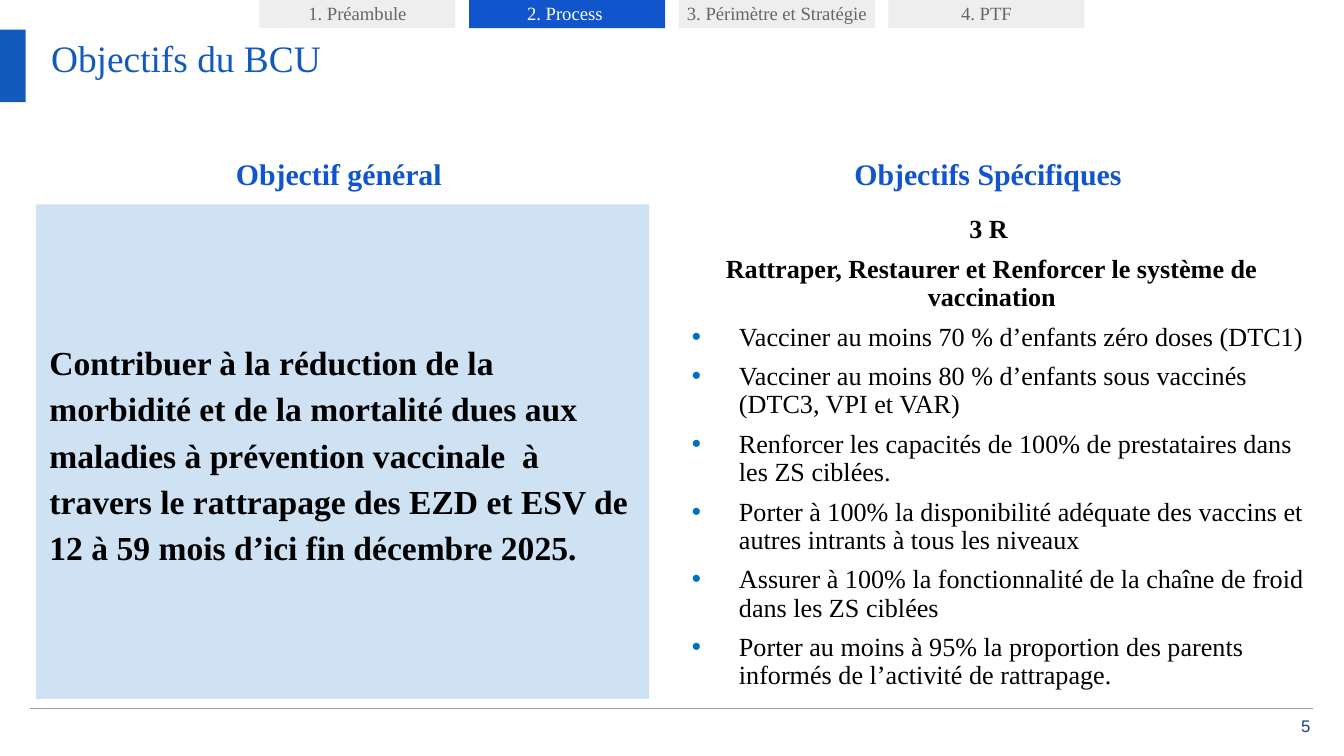
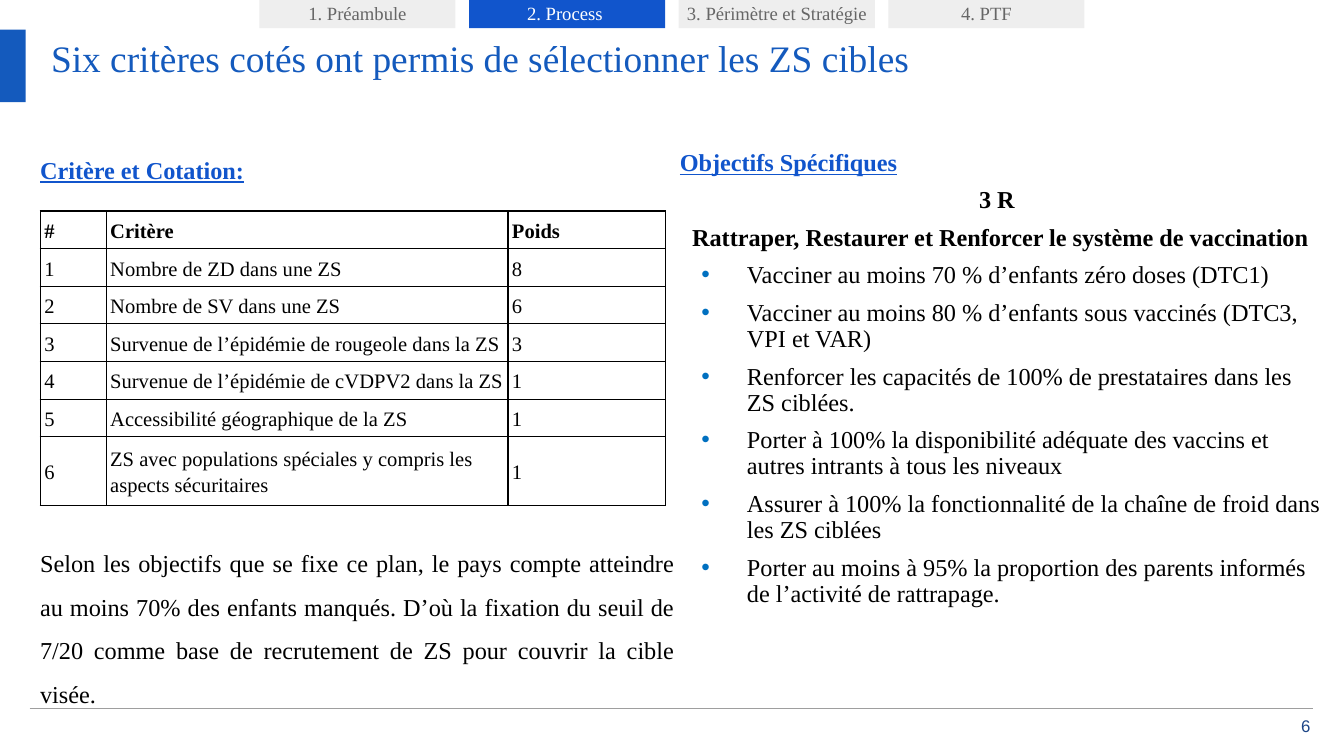
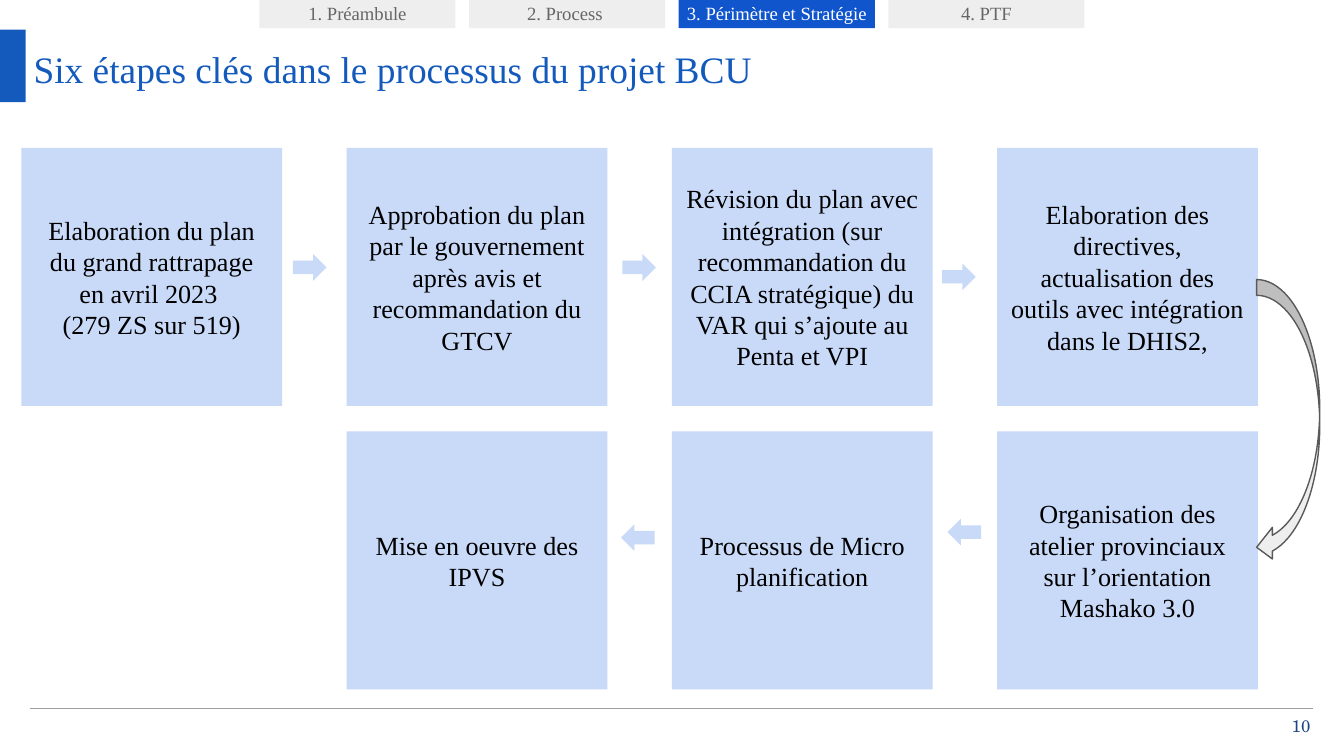
from lxml.etree import SubElement
from pptx import Presentation
from pptx.dml.color import RGBColor
from pptx.enum.shapes import MSO_CONNECTOR, MSO_SHAPE as SHAPE
from pptx.enum.text import MSO_ANCHOR as ANCHOR, MSO_AUTO_SIZE, PP_ALIGN as ALIGN
from pptx.oxml.ns import qn
from pptx.util import Inches, Pt

SERIF = "Times New Roman"
BLUE = RGBColor(0x11, 0x55, 0xCC)
TITLE_BLUE = RGBColor(0x14, 0x5A, 0xBD)
NUMBER_BLUE = RGBColor(0x1C, 0x45, 0x87)
PALE_BLUE = RGBColor(0xCF, 0xE2, 0xF3)
STEP_BLUE = RGBColor(0xC9, 0xDA, 0xF8)
LIGHT_GREY = RGBColor(0xEE, 0xEE, 0xEE)
RULE_GREY = RGBColor(0x9E, 0x9E, 0x9E)
TEXT_GREY = RGBColor(0x66, 0x66, 0x66)
DARK_GREY = RGBColor(0x59, 0x59, 0x59)
BLACK = RGBColor(0, 0, 0)
WHITE = RGBColor(255, 255, 255)
BULLET_HEX = "0070C0"

SECTIONS = ["1. Préambule", "2. Process ", "3. Périmètre et Stratégie", "4. PTF"]

GENERAL_GOAL = (
    "Contribuer à la réduction de la morbidité et de la mortalité dues aux maladies "
    "à prévention vaccinale  à travers le rattrapage des EZD et ESV de 12 à 59 mois "
    "d’ici fin décembre 2025."
)
MOTTO = ["3 R ", "Rattraper, Restaurer et Renforcer le système de vaccination"]
GOALS = [
    "Vacciner au moins 70 % d’enfants zéro doses (DTC1)",
    "Vacciner au moins 80 % d’enfants sous vaccinés (DTC3, VPI et VAR)",
    "Renforcer les capacités de 100% de prestataires dans les ZS ciblées.",
    "Porter à 100% la disponibilité adéquate des vaccins et autres intrants à tous les niveaux",
    "Assurer à 100% la fonctionnalité de la chaîne de froid dans les ZS ciblées",
    "Porter au moins à 95% la proportion des parents informés de l’activité de rattrapage.",
]
CRITERIA = [
    ("#", "Critère", "Poids"),
    ("1", "Nombre de ZD dans une ZS", "8"),
    ("2", "Nombre de SV dans une ZS", "6"),
    ("3", "Survenue de l’épidémie de rougeole dans la ZS", "3"),
    ("4", "Survenue de l’épidémie de cVDPV2 dans la ZS", "1"),
    ("5", "Accessibilité géographique de la ZS", "1"),
    ("6", "ZS avec populations spéciales y compris les aspects sécuritaires", "1"),
]
CRITERIA_WIDTHS = [0.49, 2.99, 1.17]
CRITERIA_HEIGHTS = [0.28] * 6 + [0.51]
THRESHOLD = (
    "Selon les objectifs que se fixe ce plan, le pays compte atteindre au moins 70% des "
    "enfants manqués. D’où la fixation du seuil de 7/20 comme base de recrutement de ZS "
    "pour couvrir la cible visée."
)
STEPS = [
    (0, 0, ["Elaboration du plan du grand rattrapage en avril 2023 ", "(279 ZS sur 519)"]),
    (1, 0, ["Approbation du plan par le gouvernement après avis et recommandation du GTCV"]),
    (2, 0, ["Révision du plan avec intégration (sur recommandation du CCIA stratégique) "
            "du VAR qui s’ajoute au Penta et VPI"]),
    (3, 0, ["Elaboration des directives, actualisation des outils avec intégration dans le DHIS2,"]),
    (3, 1, ["Organisation des atelier provinciaux sur l’orientation Mashako 3.0"]),
    (2, 1, ["Processus de Micro planification"]),
    (1, 1, ["Mise en oeuvre des IPVS"]),
]
STEP_ARROWS = [
    (2.18, 1.89, 0), (4.63, 1.89, 0), (7.01, 1.96, 0),
    (7.05, 3.86, 180), (4.62, 3.9, 180),
]


def style(paragraph, size, color=BLACK, bold=False, align=ALIGN.LEFT, spacing=None,
          font=SERIF, underline=None):
    paragraph.alignment = align
    if spacing:
        paragraph.line_spacing = spacing
    paragraph.font.name = font
    paragraph.font.size = Pt(size)
    paragraph.font.bold = bold
    paragraph.font.underline = underline
    paragraph.font.color.rgb = color


def set_frame(frame, insets=(0.1, 0.1, 0.1, 0.1), anchor=ANCHOR.TOP):
    frame.word_wrap = True
    frame.auto_size = MSO_AUTO_SIZE.NONE
    frame.vertical_anchor = anchor
    (frame.margin_left, frame.margin_top,
     frame.margin_right, frame.margin_bottom) = map(Inches, insets)


def write(frame, lines, insets=(0.1, 0.1, 0.1, 0.1), anchor=ANCHOR.TOP, **look):
    set_frame(frame, insets, anchor)
    frame.text = "\n".join(lines)
    for paragraph in frame.paragraphs:
        style(paragraph, **look)


def add_text(slide, area, lines, **look):
    box = slide.shapes.add_textbox(*map(Inches, area))
    write(box.text_frame, lines, **look)


def add_block(slide, area, fill, kind=SHAPE.RECTANGLE):
    block = slide.shapes.add_shape(kind, *map(Inches, area))
    block.shadow.inherit = False
    block.fill.solid()
    block.fill.fore_color.rgb = fill
    block.line.fill.background()
    return block


def add_bullet(paragraph, hanging):
    properties = paragraph._p.get_or_add_pPr()
    properties.set("marL", str(Inches(0.5)))
    properties.set("indent", str(-Inches(hanging)))
    SubElement(SubElement(properties, qn("a:buClr")), qn("a:srgbClr"), val=BULLET_HEX)
    SubElement(properties, qn("a:buFont"), typeface="Arial")
    SubElement(properties, qn("a:buChar"), char="•")


def add_goals(slide, area, size, hanging, heading=None):
    frame = slide.shapes.add_textbox(*map(Inches, area)).text_frame
    set_frame(frame)
    headings = [heading] if heading else []
    frame.text = "\n".join(headings + MOTTO + GOALS)
    for index, paragraph in enumerate(frame.paragraphs):
        if index:
            paragraph.space_before = Pt(6)
        if paragraph.text in GOALS:
            add_bullet(paragraph, hanging)
            style(paragraph, size, spacing=0.9)
        elif paragraph.text in MOTTO:
            style(paragraph, size, bold=True, align=ALIGN.CENTER, spacing=0.9)
        else:
            style(paragraph, size, BLUE, bold=True, spacing=0.9, underline=True)


def add_criteria(slide):
    area = (0.3, 1.57, sum(CRITERIA_WIDTHS), sum(CRITERIA_HEIGHTS))
    table = slide.shapes.add_table(
        len(CRITERIA), len(CRITERIA_WIDTHS), *map(Inches, area)).table
    table.first_row = table.horz_banding = False
    for column, width in zip(table.columns, CRITERIA_WIDTHS):
        column.width = Inches(width)
    for index, (row, height) in enumerate(zip(table.rows, CRITERIA_HEIGHTS)):
        row.height = Inches(height)
        for cell, value in zip(row.cells, CRITERIA[index]):
            cell.text = value
            cell.vertical_anchor = ANCHOR.MIDDLE
            cell.margin_left = cell.margin_right = Inches(0.03)
            cell.margin_top = cell.margin_bottom = Inches(0.02)
            style(cell.text_frame.paragraphs[0], 11, bold=index == 0, spacing=1.15)
            properties = cell._tc.get_or_add_tcPr()
            for side in ("lnL", "lnR", "lnT", "lnB"):
                border = SubElement(properties, qn(f"a:{side}"), w=str(Pt(0.75)))
                SubElement(SubElement(border, qn("a:solidFill")), qn("a:srgbClr"), val=str(BLACK))
            cell.fill.background()


def add_slide(deck, title, number, section, title_area=(0.38, 0.26, 9.25, 0.6),
              title_insets=(0, 0, 0, 0), number_font="Arial"):
    slide = deck.slides.add_slide(deck.slide_layouts[5])
    heading = slide.shapes.title
    heading.left, heading.top, heading.width, heading.height = map(Inches, title_area)
    write(heading.text_frame, [title], insets=title_insets, size=20, color=TITLE_BLUE)
    add_block(slide, (0, 0.22, 0.19, 0.54), TITLE_BLUE)
    add_text(slide, (9.56, 5.33, 0.19, 0.14), [str(number)], insets=(0, 0, 0, 0),
             anchor=ANCHOR.MIDDLE, size=9, color=NUMBER_BLUE, align=ALIGN.RIGHT,
             font=number_font)
    rule = slide.shapes.add_connector(
        MSO_CONNECTOR.STRAIGHT, *map(Inches, (0.22, 5.27, 9.77, 5.27)))
    rule.line.color.rgb = RULE_GREY
    rule.line.width = Pt(0.75)
    SubElement(rule._element.spPr, qn("a:effectLst"))
    for index, name in enumerate(SECTIONS):
        active = index == section
        tab = add_block(slide, (1.93 + 1.56 * index, -0.01, 1.46, 0.22),
                        BLUE if active else LIGHT_GREY)
        write(tab.text_frame, [name], insets=(0.02, 0.1, 0.02, 0.1), anchor=ANCHOR.MIDDLE,
              size=10, color=WHITE if active else TEXT_GREY, align=ALIGN.CENTER)
    return slide


def build_objectives(deck):
    slide = add_slide(deck, "Objectifs du BCU", 5, 1)
    for left, heading in ((0.22, "Objectif général "), (5.05, "Objectifs Spécifiques ")):
        add_text(slide, (left, 1.02, 4.66, 0.49), [heading], size=16, color=BLUE,
                 bold=True, align=ALIGN.CENTER, spacing=1.15)
    goal = add_block(slide, (0.27, 1.52, 4.56, 3.68), PALE_BLUE)
    write(goal.text_frame, [GENERAL_GOAL], anchor=ANCHOR.MIDDLE, size=18, bold=True,
          spacing=1.15)
    add_goals(slide, (4.9, 1.51, 4.96, 3.76), 14, 0.35)


def build_criteria(deck):
    slide = add_slide(deck, "Six critères cotés ont permis de sélectionner les ZS cibles", 6, 1)
    add_goals(slide, (4.96, 1.02, 4.96, 3.63), 13, 0.34, "Objectifs Spécifiques")
    add_text(slide, (0.2, 1.02, 4.92, 0.45), ["Critère et Cotation:"], size=13, color=BLUE,
             bold=True, spacing=1.15, underline=True)
    add_criteria(slide)
    add_text(slide, (0.2, 3.87, 4.91, 1.43), [THRESHOLD], size=13, align=ALIGN.JUSTIFY,
             spacing=1.5)


def build_steps(deck):
    slide = add_slide(deck, "Six étapes clés dans le processus du projet BCU", 10, 2,
                      (0.25, 0.24, 9.5, 0.54), (0, 0.1, 0.1, 0.1), "TeX Gyre Schola")
    for column, row, lines in STEPS:
        step = add_block(slide, (0.16 + 2.42 * column, 1.1 + 2.11 * row, 1.94, 1.92), STEP_BLUE)
        write(step.text_frame, lines, anchor=ANCHOR.MIDDLE, size=14, align=ALIGN.CENTER)
    for left, top, rotation in STEP_ARROWS:
        arrow = add_block(slide, (left, top, 0.25, 0.2), STEP_BLUE, SHAPE.RIGHT_ARROW)
        arrow.rotation = rotation
    turn = add_block(slide, (9.35, 2.08, 0.47, 2.11), LIGHT_GREY, SHAPE.CURVED_LEFT_ARROW)
    turn.line.color.rgb = DARK_GREY
    turn.line.width = Pt(0.75)


def main():
    deck = Presentation()
    deck.slide_width = Inches(10)
    deck.slide_height = deck.slide_width * 9 // 16
    build_objectives(deck)
    build_criteria(deck)
    build_steps(deck)
    deck.save("out.pptx")


if __name__ == "__main__":
    main()
